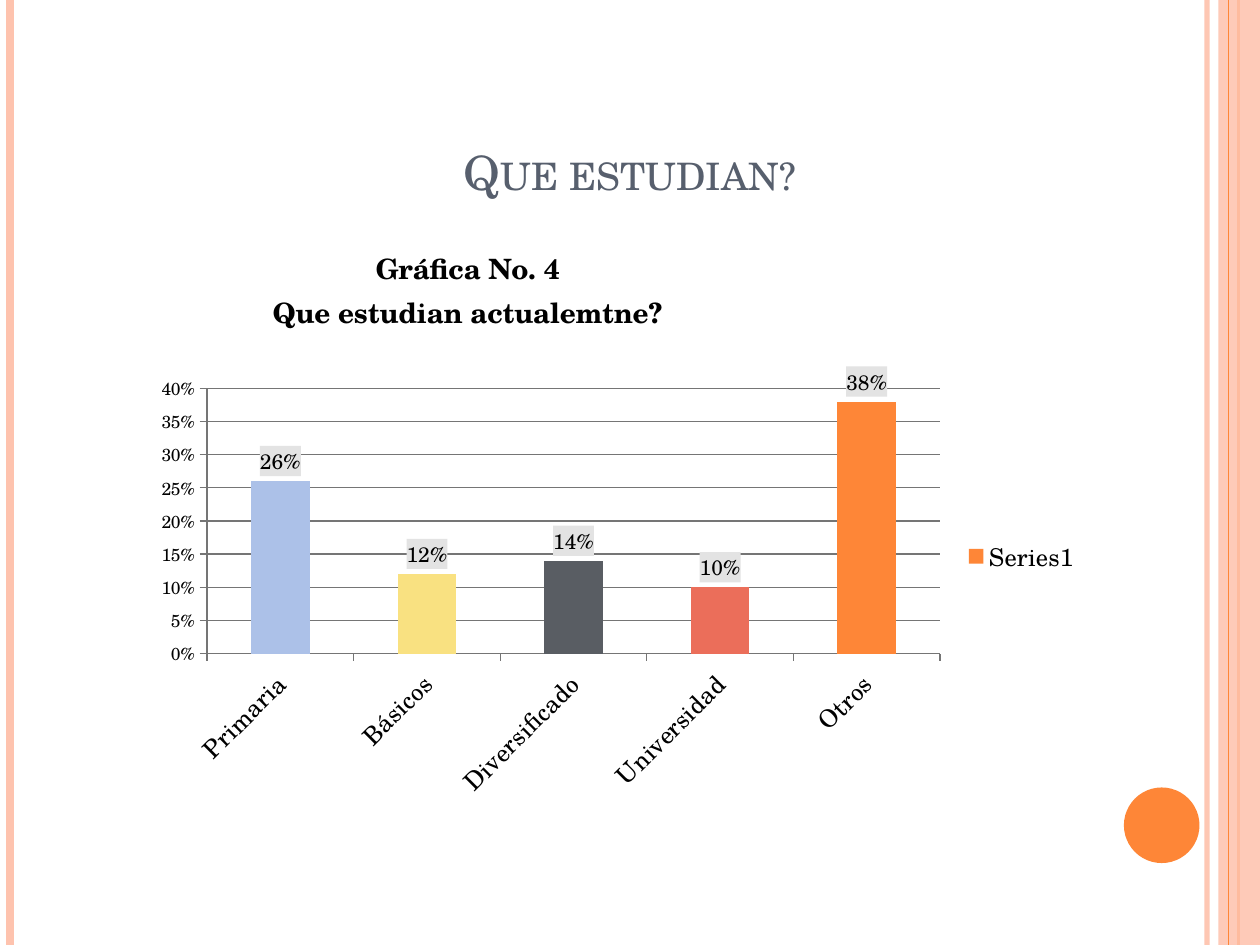
"""Build the slide with a column chart of what people currently study."""
from lxml import etree
from pptx import Presentation
from pptx.chart.data import CategoryChartData
from pptx.dml.color import RGBColor
from pptx.enum.chart import XL_CHART_TYPE, XL_LABEL_POSITION, XL_LEGEND_POSITION, XL_TICK_MARK
from pptx.enum.shapes import MSO_CONNECTOR, MSO_SHAPE
from pptx.enum.text import MSO_ANCHOR, PP_ALIGN
from pptx.oxml import parse_xml
from pptx.oxml.ns import nsdecls, qn
from pptx.util import Inches, Pt

COLUMNS = XL_CHART_TYPE.COLUMN_CLUSTERED
OUTSIDE_END = XL_LABEL_POSITION.OUTSIDE_END
LEGEND_RIGHT = XL_LEGEND_POSITION.RIGHT
TICK_OUTSIDE = XL_TICK_MARK.OUTSIDE
STRAIGHT = MSO_CONNECTOR.STRAIGHT
RECTANGLE, OVAL = MSO_SHAPE.RECTANGLE, MSO_SHAPE.OVAL
BOTTOM, CENTER = MSO_ANCHOR.BOTTOM, PP_ALIGN.CENTER

FONT = "TeX Gyre Schola"
COLORS = {
    "orange": "FE8637", "peach": "FEC3AE", "slate": "575F6D", "black": "000000",
    "blue": "ACC1E8", "yellow": "F9E181", "gray": "595D63", "red": "EB6E5A",
    "axis": "757575", "label": "E3E3E3",
}
RGB = {name: RGBColor.from_string(value) for name, value in COLORS.items()}


def set_alpha(properties, percent):
    color = next(properties.iter(qn("a:srgbClr")))
    etree.SubElement(color, qn("a:alpha")).set("val", str(percent * 1000))


def manual_layout(**values):
    entries = "".join(f'<c:{tag} val="{value}"/>' for tag, value in values.items())
    return parse_xml(f'<c:layout {nsdecls("c")}><c:manualLayout>{entries}</c:manualLayout></c:layout>')


prs = Presentation()
prs.slide_width, prs.slide_height = Inches(10), Inches(7.5)
slide = prs.slides.add_slide(prs.slide_layouts[6])
shapes = slide.shapes

stripes = [(9.58, "peach", 3, 93), (0.08, "peach", 4.5, 100), (9.83, "orange", 1.5, 100)]
edge_line = (9.75, "orange", 0.75, 100)
band = (RECTANGLE, 9.67, 0, 0.33, 7.5, "peach", 87)
disc = (OVAL, 8.92, 6.25, 0.6, 0.6, "orange", 100)

for item in [*stripes, band, edge_line, disc]:
    if len(item) == 4:
        x, color, width, opacity = item
        stripe = shapes.add_connector(STRAIGHT, Inches(x), 0, Inches(x), Inches(7.5))
        stripe.line.color.rgb = RGB[color]
        stripe.line.width = Pt(width)
        properties = stripe._element.spPr
        etree.SubElement(properties, qn("a:effectLst"))
    else:
        kind, *box, color, opacity = item
        ornament = shapes.add_shape(kind, *map(Inches, box))
        ornament.shadow.inherit = False
        ornament.fill.solid()
        ornament.fill.fore_color.rgb = RGB[color]
        ornament.line.fill.background()
        properties = ornament._element.spPr
    if opacity < 100:
        set_alpha(properties, opacity)

heading = shapes.add_textbox(Inches(0.5), Inches(0.77), Inches(9), Inches(0.87)).text_frame
heading.word_wrap = True
heading.vertical_anchor = BOTTOM
question = heading.paragraphs[0]
question.alignment = CENTER
question_run = question.add_run()
question_run.text = "Que estudian?"
for attribute, value in {"name": FONT, "size": Pt(27)}.items():
    setattr(question_run.font, attribute, value)
question_run.font.color.rgb = RGB["slate"]
question_run._r.get_or_add_rPr().set("cap", "small")

studies = CategoryChartData(number_format="0%")
studies.categories = ["Primaria", "Básicos", "Diversificado", "Universidad", "Otros"]
studies.add_series("Series1", [0.26, 0.12, 0.14, 0.1, 0.38])
chart = shapes.add_chart(
    COLUMNS, Inches(0.5), Inches(1.75), Inches(8.17), Inches(5.33), studies
).chart
chart.font.name = FONT
chart.font.size = Pt(10)
chart.font.color.rgb = RGB["black"]

chart.has_title = True
caption = chart.chart_title.text_frame
caption.text = "Gráfica No. 4\nQue estudian actualemtne?"
for line in caption.paragraphs:
    line.alignment = CENTER
    for run in line.runs:
        for attribute, value in {"name": FONT, "size": Pt(16), "bold": True}.items():
            setattr(run.font, attribute, value)
        run.font.color.rgb = RGB["black"]
title_xml = chart.chart_title._element
for old_layout in title_xml.findall(qn("c:layout")):
    title_xml.remove(old_layout)
title_xml.find(qn("c:tx")).addnext(manual_layout(xMode="edge", yMode="edge", x=0.2, y=0.03))
title_xml.find(qn("c:overlay")).set("val", "1")

plot_area = chart._chartSpace.chart.plotArea
for old_layout in plot_area.findall(qn("c:layout")):
    plot_area.remove(old_layout)
plot_area.insert(0, manual_layout(
    layoutTarget="inner", xMode="edge", yMode="edge", x=0.14, y=0.25, w=0.712, h=0.395
))

chart.has_legend = True
chart.legend.position = LEGEND_RIGHT
chart.legend.include_in_layout = False
chart.legend.font.size = Pt(14)

levels, answers = chart.value_axis, chart.category_axis
levels.minimum_scale, levels.maximum_scale, levels.major_unit = 0, 0.4, 0.05
levels.has_major_gridlines = True
levels.tick_labels.number_format = "0%"
levels.tick_labels.number_format_is_linked = False
for axis, size in ((levels, 10), (answers, 14)):
    axis.major_tick_mark = TICK_OUTSIDE
    axis.tick_labels.font.size = Pt(size)
for rule in (levels.format.line, answers.format.line, levels.major_gridlines.format.line):
    rule.color.rgb = RGB["axis"]
    rule.width = Pt(0.75)
answers._element.find(qn("c:txPr")).find(qn("a:bodyPr")).set("rot", "-2700000")

plot = chart.plots[0]
plot.gap_width = 150
plot.vary_by_categories = False
bars = plot.series[0]
bars.format.fill.solid()
bars.format.fill.fore_color.rgb = RGB["orange"]
for index, color in enumerate(["blue", "yellow", "gray", "red"]):
    bar_fill = bars.points[index].format.fill
    bar_fill.solid()
    bar_fill.fore_color.rgb = RGB[color]

percents = bars.data_labels
for attribute, value in {
    "show_value": True, "number_format": "0%", "number_format_is_linked": False,
    "position": OUTSIDE_END,
}.items():
    setattr(percents, attribute, value)
percents.font.size = Pt(12)
percents._element.find(qn("c:txPr")).addprevious(parse_xml(
    f'<c:spPr {nsdecls("c", "a")}><a:solidFill><a:srgbClr val="{COLORS["label"]}"/>'
    "</a:solidFill></c:spPr>"
))

prs.save("out.pptx")
